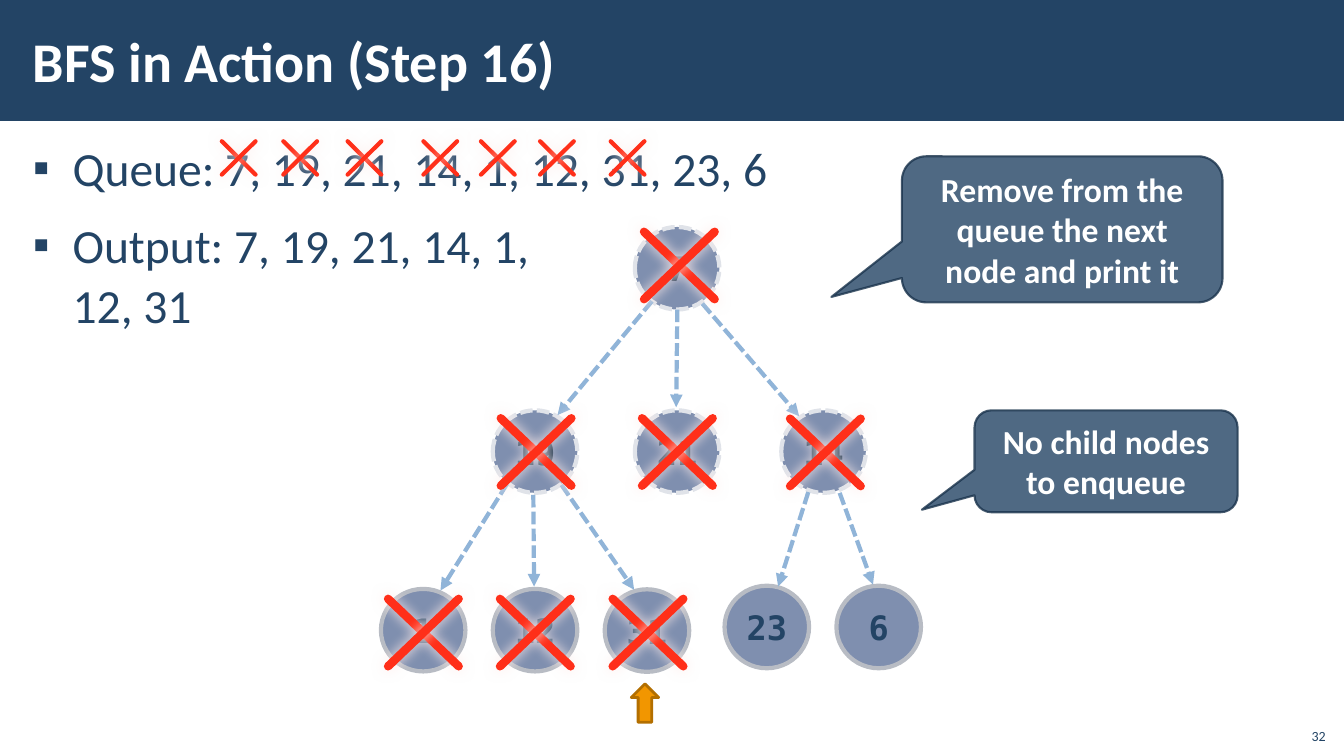
import pptx
import pptx.dml.color
import pptx.enum.dml
import pptx.enum.shapes
import pptx.enum.text
import pptx.oxml
import pptx.oxml.ns
import pptx.oxml.xmlchemy
import pptx.util

Cm = pptx.util.Cm
Pt = pptx.util.Pt
SHAPE = pptx.enum.shapes.MSO_SHAPE
ALIGN = pptx.enum.text.PP_ALIGN
ANCHOR = pptx.enum.text.MSO_ANCHOR
DASH = pptx.enum.dml.MSO_LINE.SQUARE_DOT

NAVY, DARK, WHITE, RED = "234465", "1A334C", "FFFFFF", "FF2F19"
NODE_WIDTH, NODE_HEIGHT = 2.13, 2.08

VISITED_NODES = [("7", 16, 5.72), ("19", 12.42, 10.34), ("21", 16, 10.34), ("14", 19.69, 10.34)]
LEAF_NODES = [("1", 9.6, 14.84), ("12", 12.42, 14.84), ("31", 15.24, 14.85),
              ("23", 18.26, 14.76), ("6", 21.08, 14.76)]
EDGES = [
    (16.43, 7.59, 14.05, 10.46),
    (17.07, 7.8, 17.04, 10.26),
    (17.7, 7.65, 20.14, 10.49),
    (12.78, 12.19, 11.1, 14.88),
    (13.44, 12.47, 13.46, 14.78),
    (14.15, 12.22, 15.98, 14.86),
    (20.37, 12.4, 19.61, 14.78),
    (21.16, 12.42, 22, 14.73),
]
NODE_CROSSES = [(16.23, 5.84), (12.62, 10.54), (16.18, 10.54), (19.91, 10.55),
                (9.78, 15.09), (12.6, 15.09), (15.44, 15.09)]
QUEUE_CROSSES = [5.59, 7.14, 8.76, 10.67, 12.12, 13.61, 15.39]


def color(value):
    return pptx.dml.color.RGBColor.from_string(value)


def add_child(parent, tag, **attributes):
    child = pptx.oxml.xmlchemy.OxmlElement(tag)
    for name, value in attributes.items():
        child.set(name, str(value))
    parent.append(child)
    return child


def set_opacity(parent, percent):
    tint = parent.find(pptx.oxml.ns.qn("a:solidFill"))[0]
    add_child(tint, "a:alpha", val=percent * 1000)


def place(item, left, top, width, height):
    item.left, item.top = Cm(left), Cm(top)
    item.width, item.height = Cm(width), Cm(height)


def set_margins(frame, horizontal, vertical):
    frame.margin_left = frame.margin_right = Cm(horizontal)
    frame.margin_top = frame.margin_bottom = Cm(vertical)


def style_para(para, size, ink, font="Calibri", bold=False, align=None):
    para.alignment = align
    for span in para.runs:
        span.font.name, span.font.size = font, Pt(size)
        span.font.bold, span.font.color.rgb = bold, color(ink)


def add_shape(page, kind, bounds, fill, line=None, weight=0):
    shape = page.shapes.add_shape(kind, *map(Cm, bounds))
    shape.shadow.inherit = False
    shape.fill.solid()
    shape.fill.fore_color.rgb = color(fill)
    if line:
        shape.line.color.rgb = color(line)
        shape.line.width = Pt(weight)
    else:
        shape.line.fill.background()
    return shape


def add_node(page, label, left, top, visited):
    bounds = (left, top, NODE_WIDTH, NODE_HEIGHT)
    if visited:
        node = add_shape(page, SHAPE.OVAL, bounds, "7F8FAF", "E0E3E9", 3)
        node.line.dash_style = DASH
    else:
        node = add_shape(page, SHAPE.OVAL, bounds, "002060", "B8BCC4", 3)
        set_opacity(node.element.spPr, 50)
    frame = node.text_frame
    frame.text = label
    frame.word_wrap = False
    frame.vertical_anchor = ANCHOR.MIDDLE
    set_margins(frame, 0, 0)
    style_para(frame.paragraphs[0], 24, DARK if visited else NAVY,
               "DejaVu Sans Mono", True, ALIGN.CENTER)


def add_line(page, ends, ink, weight):
    line = page.shapes.add_connector(pptx.enum.shapes.MSO_CONNECTOR.STRAIGHT, *map(Cm, ends))
    line.line.color.rgb = color(ink)
    line.line.width = Pt(weight)
    effects = add_child(line.element.spPr, "a:effectLst")
    return line, effects


def add_edge(page, ends):
    edge, _ = add_line(page, ends, "90B4D8", 3)
    edge.line.dash_style = DASH
    add_child(edge.line._get_or_add_ln(), "a:tailEnd", type="triangle")


def add_cross(page, left, top, width, height, weight):
    right, bottom = left + width, top + height
    for ends in ((left, top, right, bottom), (right, top, left, bottom)):
        stroke, effects = add_line(page, ends, RED, weight)
        stroke.line._get_or_add_ln().set("cap", "rnd")
        glow = add_child(effects, "a:outerShdw", blurRad=Pt(10), dist=0,
                         dir=5400000, algn="ctr", rotWithShape=0)
        add_child(glow, "a:srgbClr", val="FFEDEB")


def add_callout(page, text, bounds, pointer):
    callout = add_shape(page, SHAPE.ROUNDED_RECTANGULAR_CALLOUT, bounds, NAVY, DARK, 1.5)
    for index, value in enumerate((*pointer, 0.167)):
        callout.adjustments[index] = value
    set_opacity(callout.element.spPr, 80)
    set_opacity(callout.line._get_or_add_ln(), 80)
    frame = callout.text_frame
    frame.text = text
    frame.word_wrap = True
    frame.vertical_anchor = ANCHOR.MIDDLE
    set_margins(frame, 0.25, 0.13)
    style_para(frame.paragraphs[0], 24, WHITE, bold=True, align=ALIGN.CENTER)


def fill_title(page, text):
    band = add_shape(page, SHAPE.RECTANGLE, (0, 0, 33.87, 3.05), NAVY)
    page.shapes.element.insert(2, band.element)
    title = page.shapes.title
    place(title, 0.53, 0.28, 27, 2.46)
    frame = title.text_frame
    frame.text = text
    frame.vertical_anchor = ANCHOR.MIDDLE
    set_margins(frame, 0.3, 0.1)
    style_para(frame.paragraphs[0], 40, WHITE, bold=True, align=ALIGN.LEFT)


def fill_body(page, lines):
    body = page.placeholders[1]
    place(body, 0.53, 3.33, 32.82, 15.37)
    frame = body.text_frame
    frame.vertical_anchor = ANCHOR.TOP
    frame.auto_size = pptx.enum.text.MSO_AUTO_SIZE.NONE
    set_margins(frame, 0.3, 0.1)
    for index, text in enumerate(lines):
        para = frame.add_paragraph() if index else frame.paragraphs[0]
        para.text = text
        properties = para._p.get_or_add_pPr()
        properties.set("marL", str(Cm(1)))
        properties.set("indent", str(Cm(-1)))
        add_child(properties, "a:buChar", char="▪")
        para.line_spacing = 1.05
        para.space_before = Pt(6 if index else 0)
        para.space_after = Pt(6)
        style_para(para, 34, NAVY)


def add_page_number(page, text):
    box = page.shapes.add_textbox(Cm(32.64), Cm(18.08), Cm(1.02), Cm(0.81))
    frame = box.text_frame
    frame.text = text
    frame.word_wrap = True
    frame.vertical_anchor = ANCHOR.BOTTOM
    style_para(frame.paragraphs[0], 10, NAVY, align=ALIGN.RIGHT)


def main():
    deck = pptx.Presentation()
    deck.slide_width, deck.slide_height = Cm(33.87), Cm(19.05)
    page = deck.slides.add_slide(deck.slide_layouts[1])
    fill_title(page, "BFS in Action (Step 16)")
    fill_body(page, ["Queue: 7, 19, 21, 14, 1, 12, 31, 23, 6",
                     "Output: 7, 19, 21, 14, 1,\n12, 31"])
    for node in VISITED_NODES:
        add_node(page, *node, True)
    for node in LEAF_NODES:
        add_node(page, *node, False)
    for ends in EDGES:
        add_edge(page, ends)
    for left, top in NODE_CROSSES:
        add_cross(page, left, top, 1.78, 1.7, 6)
    pointer = add_shape(page, SHAPE.RIGHT_ARROW, (15.77, 17.37, 0.97, 0.69), "F29600", "B36F00", 2)
    pointer.rotation = 270
    add_callout(page, "No child nodes to enqueue", (24.56, 10.34, 6.63, 2.57), (-0.7, 0.475))
    add_callout(page, "Remove from the queue the next node and print it",
                (22.73, 3.94, 8.08, 3.68), (-0.72, 0.463))
    for left in QUEUE_CROSSES:
        add_cross(page, left, 3.56, 0.85, 0.84, 3)
    add_page_number(page, "32")
    deck.save("out.pptx")


if __name__ == "__main__":
    main()
